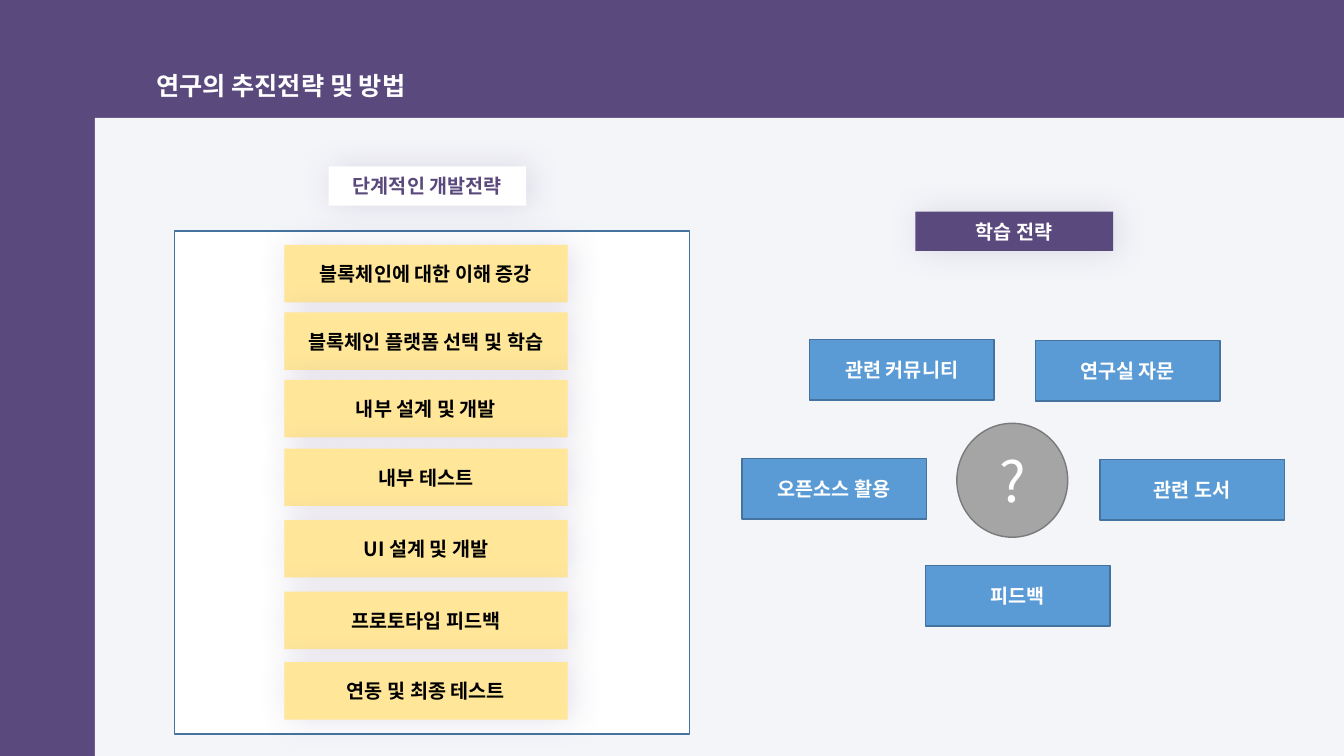
"""Build the slide on research strategy and methods."""
import lxml.etree
import pptx
import pptx.dml.color
import pptx.enum.shapes
import pptx.enum.text
import pptx.oxml.ns
import pptx.util
from pptx.util import Inches

TITLE = "연구의 추진전략 및 방법"
STEPS = [
    ("블록체인에 대한 이해 증강", 2.43),
    ("블록체인 플랫폼 선택 및 학습", 3.1),
    ("내부 설계 및 개발", 3.77),
    ("내부 테스트", 4.45),
    ("UI 설계 및 개발", 5.16),
    ("프로토타입 피드백", 5.87),
    ("연동 및 최종 테스트", 6.57),
]
SOURCES = [
    ("관련 커뮤니티", 8.03, 3.37),
    ("연구실 자문", 10.27, 3.38),
    ("관련 도서", 10.91, 4.56),
    ("오픈소스 활용", 7.36, 4.55),
    ("피드백", 9.18, 5.61),
]
THEME = {
    "font": "Noto Sans CJK KR",
    "purple": "5A497D", "panel": "F4F5F9", "white": "FFFFFF", "black": "000000",
    "step": "FFE699", "source": "5B9BD5", "source_line": "43739E",
    "hub": "A5A5A5", "hub_line": "7A7A7A",
    "title_size": 18, "label_size": 14, "hub_size": 40,
}
SHAPE = pptx.enum.shapes.MSO_SHAPE


def rgb(name):
    return pptx.dml.color.RGBColor.from_string(THEME[name])


def write(s, text, color, size, bold=True):
    tf = s.text_frame
    tf.text = text
    p = tf.paragraphs[0]
    p.alignment = pptx.enum.text.PP_ALIGN.CENTER
    p.font.size = pptx.util.Pt(THEME[size])
    p.font.bold = bold
    p.font.color.rgb = rgb(color)
    p.font.name = THEME["font"]
    latin = p._p.find(".//" + pptx.oxml.ns.qn("a:latin"))
    east = lxml.etree.Element(pptx.oxml.ns.qn("a:ea"), typeface=THEME["font"])
    latin.addnext(east)


def add_shadow(s):
    effects = s._element.spPr.find(pptx.oxml.ns.qn("a:effectLst"))
    shadow = lxml.etree.SubElement(
        effects, pptx.oxml.ns.qn("a:outerShdw"), blurRad=str(pptx.util.Pt(23)),
        dist=str(pptx.util.Pt(3)), dir="0", algn="ctr", rotWithShape="0")
    color = lxml.etree.SubElement(shadow, pptx.oxml.ns.qn("a:srgbClr"), val=THEME["purple"])
    lxml.etree.SubElement(color, pptx.oxml.ns.qn("a:alpha"), val="17000")


def add_box(slide, box, fill, line=None, kind=SHAPE.RECTANGLE, shadow=False):
    s = slide.shapes.add_shape(kind, *map(Inches, box))
    s.shadow.inherit = False
    s.fill.solid()
    s.fill.fore_color.rgb = rgb(fill)
    if line:
        s.line.color.rgb = rgb(line)
        s.line.width = pptx.util.Pt(1)
    else:
        s.line.fill.background()
    if shadow:
        add_shadow(s)
    s.text_frame.vertical_anchor = pptx.enum.text.MSO_ANCHOR.MIDDLE
    return s


def add_title(slide):
    s = slide.shapes.title
    s.left, s.top, s.width, s.height = map(Inches, (1.29, 0.56, 2.99, 0.86))
    write(s, TITLE, "white", "title_size")
    tf = s.text_frame
    tf.word_wrap = False
    tf.auto_size = pptx.enum.text.MSO_AUTO_SIZE.NONE
    tf.vertical_anchor = pptx.enum.text.MSO_ANCHOR.TOP
    tf.margin_top = Inches(0.14)


def main():
    prs = pptx.Presentation()
    prs.slide_width, prs.slide_height = Inches(13.33), Inches(7.5)
    slide = prs.slides.add_slide(prs.slide_layouts[5])
    slide.background.fill.solid()
    slide.background.fill.fore_color.rgb = rgb("purple")

    add_title(slide)
    add_box(slide, (0.94, 1.17, 12.39, 6.33), "panel")
    s = add_box(slide, (9.08, 2.1, 1.96, 0.39), "purple", shadow=True)
    write(s, "학습 전략", "white", "label_size")
    add_box(slide, (1.73, 2.29, 5.11, 4.99), "white", "source_line")
    s = add_box(slide, (3.26, 1.65, 1.96, 0.39), "white", shadow=True)
    write(s, "단계적인 개발전략", "purple", "label_size")

    for text, top in STEPS:
        s = add_box(slide, (2.82, top, 2.81, 0.57), "step", shadow=True)
        write(s, text, "black", "label_size")
    for text, left, top in SOURCES:
        s = add_box(slide, (left, top, 1.83, 0.6), "source", "source_line")
        write(s, text, "white", "label_size")
    s = add_box(slide, (9.49, 4.2, 1.1, 1.13), "hub", "hub_line", SHAPE.OVAL)
    write(s, "?", "white", "hub_size", bold=False)

    prs.save("out.pptx")


if __name__ == "__main__":
    main()
